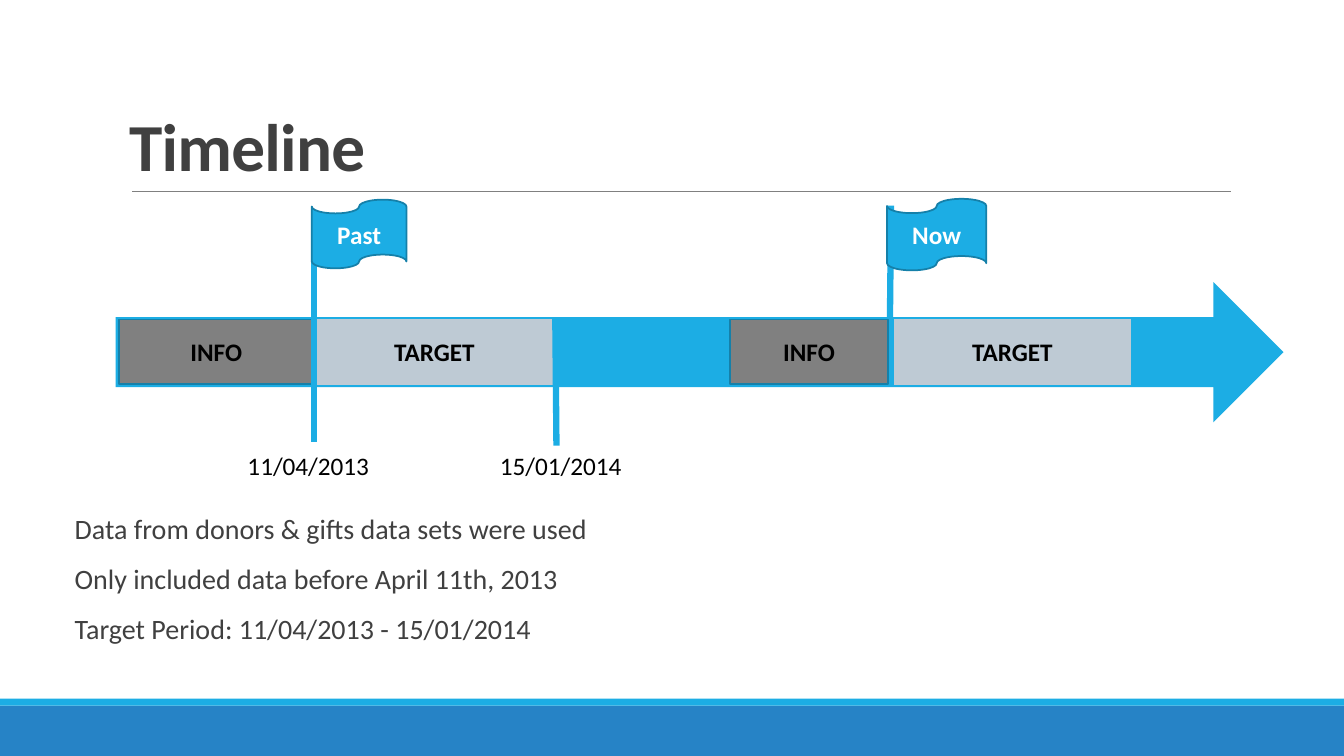
import dataclasses
import lxml.etree
import pptx
import pptx.dml.color
import pptx.enum.shapes
import pptx.enum.text
import pptx.oxml.ns
import pptx.util

SHAPE = pptx.enum.shapes.MSO_SHAPE
ALIGN = pptx.enum.text.PP_ALIGN
ANCHOR = pptx.enum.text.MSO_ANCHOR


@dataclasses.dataclass(frozen=True)
class Theme:
    font: str = "Calibri"
    sky: str = "1CADE4"
    edge: str = "1580A9"
    base: str = "2683C6"
    gray: str = "808080"
    pale: str = "BECAD4"
    ink: str = "404040"
    black: str = "000000"
    white: str = "FFFFFF"
    title: float = 48
    body: float = 20
    label: float = 18
    hair: float = 0.5
    thin: float = 1.25
    pole: float = 4.5


THEME = Theme()


@dataclasses.dataclass(frozen=True)
class Box:
    left: float
    top: float
    width: float
    height: float

    def point(self, x, y):
        return (round(self.left + self.width * x / 100),
                round(self.top + self.height * y / 100))

    def cut(self, x, y, width, height):
        return Box(*self.point(x, y), round(self.width * width / 100),
                   round(self.height * height / 100))

    def frame(self):
        return self.left, self.top, self.width, self.height


def rgb(color):
    return pptx.dml.color.RGBColor.from_string(color)


def style(para, size, color, bold=False):
    for run in para.runs:
        font = run.font
        font.name, font.size, font.bold = THEME.font, pptx.util.Pt(size), bold
        font.color.rgb = rgb(color)


def block(slide, box, fill, kind=SHAPE.RECTANGLE, line=None, text="", color=THEME.black):
    shape = slide.shapes.add_shape(kind, *box.frame())
    shape.shadow.inherit = False
    shape.fill.solid()
    shape.fill.fore_color.rgb = rgb(fill)
    if line:
        shape.line.color.rgb = rgb(line)
        shape.line.width = pptx.util.Pt(THEME.thin)
    else:
        shape.line.fill.background()
    if text:
        frame = shape.text_frame
        frame.text = text
        frame.vertical_anchor = ANCHOR.MIDDLE
        para = frame.paragraphs[0]
        para.alignment = ALIGN.CENTER
        style(para, THEME.label, color, True)


def rule(slide, start, end, color, width):
    line = slide.shapes.add_connector(
        pptx.enum.shapes.MSO_CONNECTOR.STRAIGHT, *start, *end)
    line.line.color.rgb = rgb(color)
    line.line.width = pptx.util.Pt(width)
    lxml.etree.SubElement(line._element.spPr, pptx.oxml.ns.qn("a:effectLst"))


def place(holder, box, anchor):
    holder.left, holder.top, holder.width, holder.height = box.frame()
    frame = holder.text_frame
    frame.auto_size = pptx.enum.text.MSO_AUTO_SIZE.NONE
    frame.word_wrap = True
    frame.vertical_anchor = anchor
    return frame


def header(slide, box):
    frame = place(slide.shapes.title, box, ANCHOR.BOTTOM)
    frame.text = "Timeline"
    para = frame.paragraphs[0]
    para.alignment = ALIGN.LEFT
    para.line_spacing = 0.85
    style(para, THEME.title, THEME.ink, True)
    para.runs[0].font._element.set("spc", "-50")
    rule(slide, box.point(1.2, 100.5), box.point(100.3, 100.5), THEME.gray, THEME.hair)


def bullet(para):
    props = para._p.get_or_add_pPr()
    indent = pptx.util.Inches(0.1)
    props.set("marL", str(indent))
    props.set("indent", str(-indent))
    tint = lxml.etree.SubElement(props, pptx.oxml.ns.qn("a:buClr"))
    lxml.etree.SubElement(tint, pptx.oxml.ns.qn("a:srgbClr")).set("val", THEME.sky)
    lxml.etree.SubElement(props, pptx.oxml.ns.qn("a:buChar")).set("char", " ")


def facts(slide, box):
    frame = place(slide.placeholders[1], box, ANCHOR.TOP)
    frame.text = "\n".join([
        "Data from donors & gifts data sets were used",
        "Only included data before April 11th, 2013",
        "Target Period: 11/04/2013 - 15/01/2014",
    ])
    for index, para in enumerate(frame.paragraphs):
        bullet(para)
        para.line_spacing = 0.9
        para.space_before = pptx.util.Pt(12 if index else 0)
        para.space_after = pptx.util.Pt(2)
        style(para, THEME.body, THEME.ink)


def footer(slide, box):
    block(slide, box.cut(0, 12.5, 100, 87.5), THEME.base)
    block(slide, box.cut(0, 0, 100, 12.5), THEME.sky)


def period(slide, box, info, width, target):
    block(slide, box.cut(info, 42, width, 22.5), THEME.gray,
          line=THEME.edge, text="INFO")
    block(slide, box.cut(target, 41.5, 20.4, 23.5), THEME.pale,
          line=THEME.sky, text="TARGET")


def pole(slide, box, top, end):
    rule(slide, box.point(*top), box.point(*end), THEME.sky, THEME.pole)


def flag(slide, box, text):
    block(slide, box, THEME.sky, SHAPE.FLOWCHART_PUNCHED_TAPE,
          THEME.edge, text, THEME.white)


def date(slide, box, text):
    frame = slide.shapes.add_textbox(*box.frame()).text_frame
    frame.word_wrap = True
    frame.text = text
    style(frame.paragraphs[0], THEME.label, THEME.black)


def timeline(slide, box):
    block(slide, box.cut(0, 29, 100, 48.8), THEME.sky, SHAPE.RIGHT_ARROW)
    period(slide, box, 0.3, 16.65, 17.1)
    pole(slide, box, (17, 4.8), (17, 84.8))
    pole(slide, box, (66.4, 2.4), (66.25, 63.4))
    pole(slide, box, (37.65, 41.5), (37.75, 85.9))
    period(slide, box, 52.6, 13.55, 66.6)
    flag(slide, box.cut(16.8, 0.3, 8.1, 23.9), "Past")
    flag(slide, box.cut(66.05, 0, 8.5, 24.9), "Now")
    date(slide, box.cut(10.45, 85.9, 12.9, 14.1), "11/04/2013")
    date(slide, box.cut(32.05, 85.9, 12.9, 14.1), "15/01/2014")


def main():
    deck = pptx.Presentation()
    deck.slide_width = pptx.util.Inches(13.33)
    deck.slide_height = pptx.util.Inches(7.5)
    slide = deck.slides.add_slide(deck.slide_layouts[1])
    page = Box(0, 0, deck.slide_width, deck.slide_height)
    footer(slide, page.cut(0, 92.4, 100, 7.6))
    header(slide, page.cut(8.85, 4, 82.5, 21.2))
    facts(slide, page.cut(4.05, 67.5, 88.3, 24))
    timeline(slide, page.cut(8.6, 26.3, 86.9, 38))
    deck.save("out.pptx")


if __name__ == "__main__":
    main()
